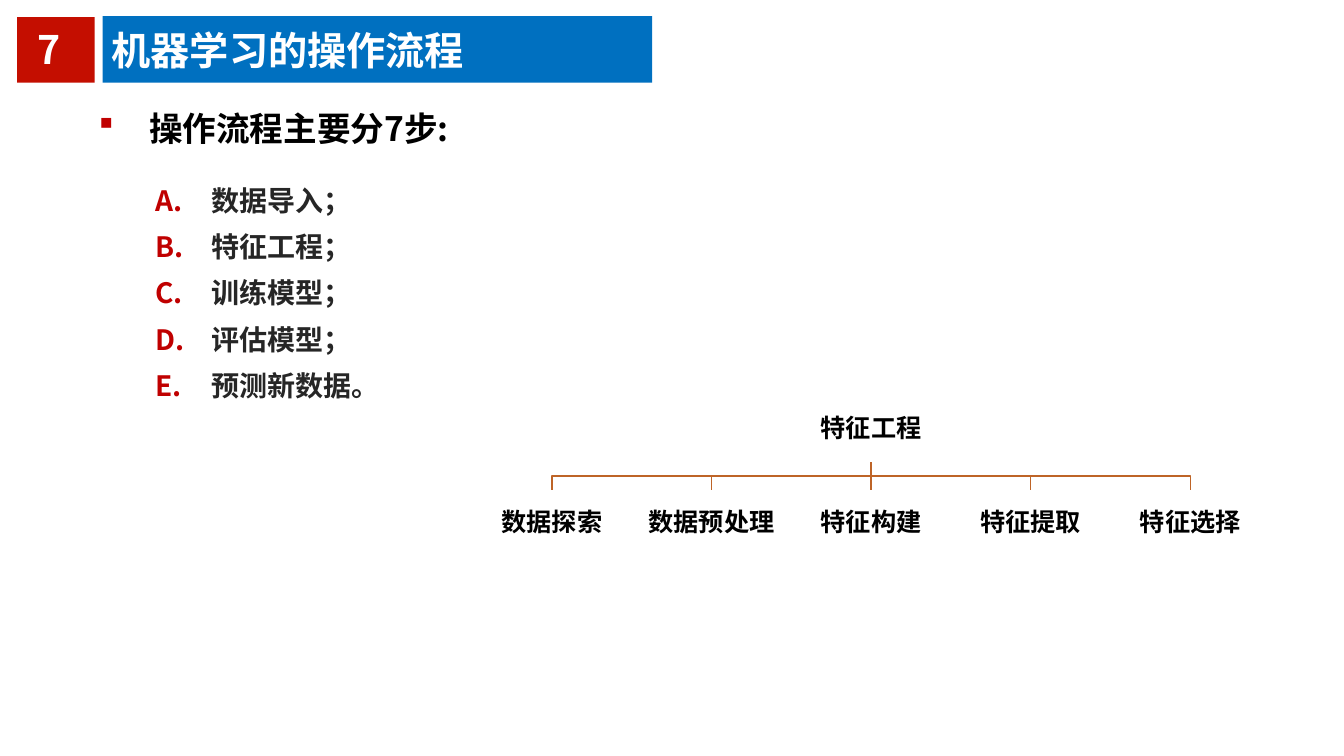
from lxml import etree
from pptx import Presentation
from pptx.dml.color import RGBColor
from pptx.enum.shapes import MSO_CONNECTOR, MSO_SHAPE
from pptx.enum.text import MSO_ANCHOR, PP_ALIGN
from pptx.oxml.ns import qn
from pptx.util import Pt

RECTANGLE = MSO_SHAPE.RECTANGLE
STRAIGHT = MSO_CONNECTOR.STRAIGHT
MIDDLE, TOP = MSO_ANCHOR.MIDDLE, MSO_ANCHOR.TOP
CENTER, LEFT = PP_ALIGN.CENTER, PP_ALIGN.LEFT
FONT = "Noto Sans CJK SC"
COLORS = {
    "number_bar": "C40E00", "title_bar": "0070C0", "white": "FFFFFF",
    "black": "000000", "step": "262626", "bullet": "C00000", "branch": "BE6427",
}

# left, top, width, height in points
BARS = [("number_bar", (12.2, 12.2, 55.4, 46.8)),
        ("title_bar", (73.4, 11.5, 392.4, 47.5))]
HEADINGS = [("机器学习的操作流程", (72.7, 22, 413.3, 34.6)),
            ("7", (19.4, 21.2, 46.1, 34.6))]
SUMMARY = "操作流程主要分7步:"
SUMMARY_BOX = (0, 73.4, 931.7, 42)
STEPS = ["数据导入；", "特征工程；", "训练模型；", "评估模型；", "预测新数据。"]
STEPS_BOX = (40.3, 127.2, 913.7, 188.4)
ROOT = "特征工程"
LEAVES = ["数据探索", "数据预处理", "特征构建", "特征提取", "特征选择"]

NODE_WIDTH, NODE_HEIGHT = 94.3, 47.1
ROOT_TOP, LEAF_TOP = 283.2, 350
LEAF_LEFT, LEAF_PITCH = 347.1, 114
BRANCH_WIDTH = 1

SUMMARY_BULLET = {"indent": (99.4, -36), "font": "Wingdings", "tag": "a:buChar",
                  "attributes": {"char": "§"}}
STEP_BULLET = {"indent": (103.7, -40.3), "font": None, "tag": "a:buAutoNum",
               "attributes": {"type": "alphaUcPeriod"}}


def rgb(name):
    return RGBColor.from_string(COLORS[name])


def points(values):
    return [Pt(value) for value in values]


def add_bullet(paragraph, bullet):
    properties = paragraph._p.get_or_add_pPr()
    margin, indent = bullet["indent"]
    properties.set("marL", str(Pt(margin)))
    properties.set("indent", str(Pt(indent)))
    color = etree.SubElement(properties, qn("a:buClr"))
    etree.SubElement(color, qn("a:srgbClr"), val=COLORS["bullet"])
    if bullet["font"]:
        etree.SubElement(properties, qn("a:buFont"), typeface=bullet["font"])
    etree.SubElement(properties, qn(bullet["tag"]), bullet["attributes"])


def write(shape, lines, size, color, margins=(7.2, 3.6), anchor=TOP,
          align=LEFT, line_spacing=1.0, gap=0, bullet=None):
    """Fill a shape with one bold paragraph per line, gap points apart."""
    frame = shape.text_frame
    frame_format = {
        "word_wrap": True, "vertical_anchor": anchor,
        "margin_left": Pt(margins[0]), "margin_right": Pt(margins[0]),
        "margin_top": Pt(margins[1]), "margin_bottom": Pt(margins[1]),
    }
    for name, value in frame_format.items():
        setattr(frame, name, value)
    for index, line in enumerate(lines):
        paragraph = frame.add_paragraph() if index else frame.paragraphs[0]
        if bullet:
            add_bullet(paragraph, bullet)
        paragraph.alignment = align
        paragraph.line_spacing = line_spacing
        paragraph.space_before = Pt(gap if index else 0)
        run = paragraph.add_run()
        run.text = line
        for name, value in {"name": FONT, "size": Pt(size), "bold": True}.items():
            setattr(run.font, name, value)
        run.font.color.rgb = rgb(color)
        etree.SubElement(run._r.get_or_add_rPr(), qn("a:ea"), typeface=FONT)


def add_text(slide, box, lines, size, color, **options):
    write(slide.shapes.add_textbox(*points(box)), lines, size, color, **options)


def add_rectangle(slide, box, color):
    shape = slide.shapes.add_shape(RECTANGLE, *points(box))
    shape.shadow.inherit = False
    shape.fill.solid()
    shape.fill.fore_color.rgb = rgb(color)
    shape.line.fill.background()
    return shape


def add_node(slide, left, top, label):
    node = add_rectangle(slide, (left, top, NODE_WIDTH, NODE_HEIGHT), "white")
    write(node, [label], 18, "black", margins=(0.7, 0.7), anchor=MIDDLE,
          align=CENTER, line_spacing=0.9)
    return node


def add_branch(slide, root, leaf):
    """Join root to leaf: straight when aligned, otherwise with two bends."""
    start_x, end_x = (node.left + node.width // 2 for node in (root, leaf))
    start_y, end_y = root.top + root.height, leaf.top
    if start_x == end_x:
        branch = slide.shapes.add_connector(STRAIGHT, start_x, start_y, end_x, end_y)
        branch.begin_connect(root, 2)
        branch.end_connect(leaf, 0)
        etree.SubElement(branch._element.spPr, qn("a:effectLst"))
    else:
        middle_y = (start_y + end_y) // 2
        builder = slide.shapes.build_freeform(start_x, start_y)
        builder.add_line_segments(
            [(start_x, middle_y), (end_x, middle_y), (end_x, end_y)], close=False)
        branch = builder.convert_to_shape()
        branch.shadow.inherit = False
        branch.fill.background()
    branch.line.color.rgb = rgb("branch")
    branch.line.width = Pt(BRANCH_WIDTH)


def main():
    presentation = Presentation()
    presentation.slide_width, presentation.slide_height = Pt(960), Pt(540)
    slide = presentation.slides.add_slide(presentation.slide_layouts[6])

    for color, box in BARS:
        add_rectangle(slide, box, color)
    for text, box in HEADINGS:
        add_text(slide, box, [text], 28, "white", line_spacing=0.8)
    add_text(slide, SUMMARY_BOX, [SUMMARY], 24, "black", bullet=SUMMARY_BULLET)
    add_text(slide, STEPS_BOX, STEPS, 20, "step", gap=9.1, bullet=STEP_BULLET)

    root_left = LEAF_LEFT + LEAF_PITCH * (len(LEAVES) // 2)
    root = add_node(slide, root_left, ROOT_TOP, ROOT)
    for index, label in enumerate(LEAVES):
        leaf = add_node(slide, LEAF_LEFT + index * LEAF_PITCH, LEAF_TOP, label)
        add_branch(slide, root, leaf)

    presentation.save("out.pptx")


if __name__ == "__main__":
    main()
